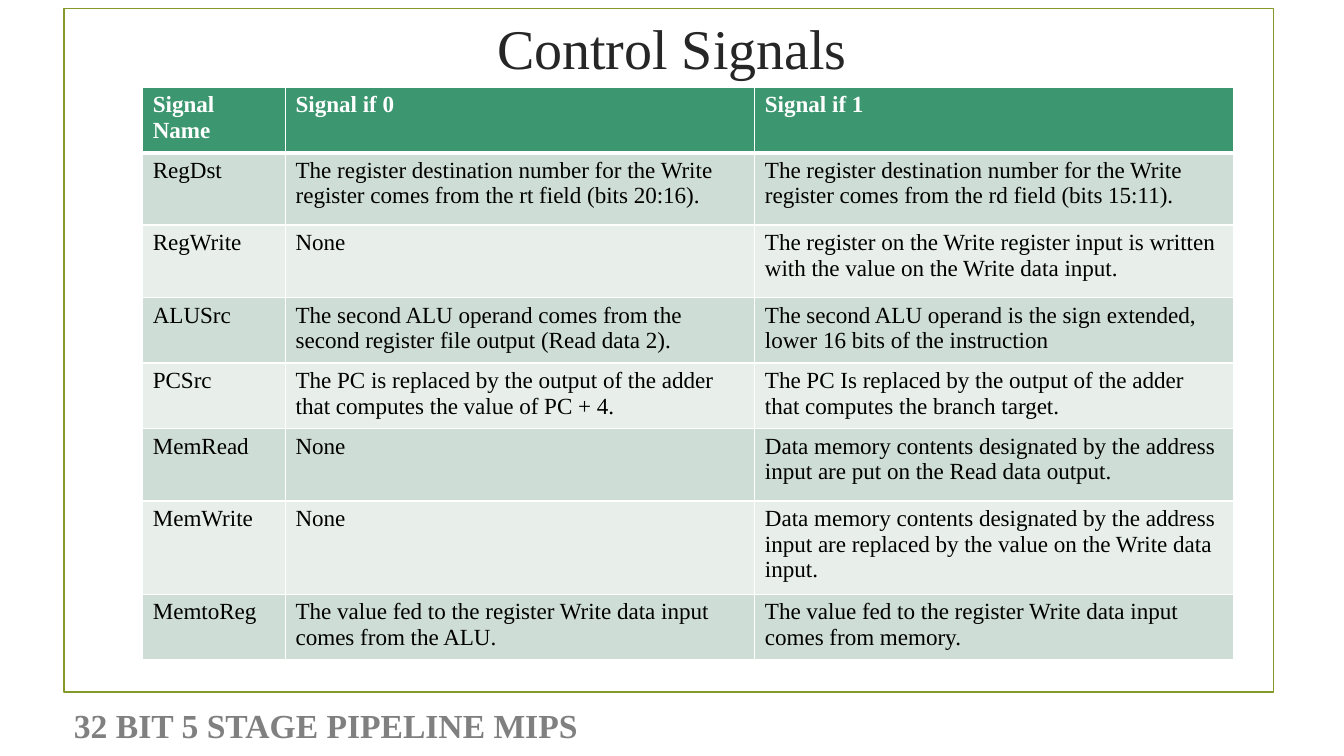
"""Build the Control Signals slide: a framed table of MIPS control signals."""
from lxml import etree
from pptx import Presentation, util as u
from pptx.dml.color import RGBColor
from pptx.enum import shapes, text
from pptx.oxml import parse_xml
from pptx.oxml.ns import nsdecls

PX = 9525
FONT = "Times New Roman"
COLORS = {
    "frame": "83992A", "footer": "808080", "title": "262626", "header": "3C9770",
    "odd": "CEDDD5", "even": "E8EFEB", "white": "FFFFFF", "black": "000000",
}
FORMATS = {
    "title": {"size": u.Pt(40), "bold": False},
    "footer": {"size": u.Pt(24), "bold": True},
    "header": {"size": u.Pt(16.5), "bold": True},
    "body": {"size": u.Pt(16.5), "bold": False},
}
COLUMNS = [136, 447, 456]
ROWS = [
    (60, "Signal Name", "Signal if 0", "Signal if 1"),
    (69, "RegDst",
     "The register destination number for the Write register comes from the rt field (bits 20:16).",
     "The register destination number for the Write register comes from the rd field (bits 15:11)."),
    (69, "RegWrite", "None",
     "The register on the Write register input is written with the value on the Write data input."),
    (60, "ALUSrc",
     "The second ALU operand comes from the second register file output (Read data 2).",
     "The second ALU operand is the sign extended, lower 16 bits of the instruction"),
    (60, "PCSrc",
     "The PC is replaced by the output of the adder that computes the value of PC + 4.",
     "The PC Is replaced by the output of the adder that computes the branch target."),
    (69, "MemRead", "None",
     "Data memory contents designated by the address input are put on the Read data output."),
    (86, "MemWrite", "None",
     "Data memory contents designated by the address input are replaced by the value on the Write data input."),
    (60, "MemtoReg",
     "The value fed to the register Write data input comes from the ALU.",
     "The value fed to the register Write data input comes from memory."),
]


def box(*lengths):
    return [n * PX for n in lengths]


def write(tf, words, style, color):
    p = tf.paragraphs[0]
    r = p.add_run()
    r.text = words
    for name, value in {"name": FONT, **FORMATS[style]}.items():
        setattr(r.font, name, value)
    r.font.color.rgb = RGBColor.from_string(COLORS[color])
    return p


prs = Presentation()
prs.slide_width, prs.slide_height = box(1280, 720)
s = prs.slides.add_slide(prs.slide_layouts[5])

frame = s.shapes.add_shape(shapes.MSO_SHAPE.RECTANGLE, *box(61, 8, 1152, 651))
frame.shadow.inherit = False
frame.fill.background()
frame.line.color.rgb = RGBColor.from_string(COLORS["frame"])
frame.line.width = u.Pt(1.25)

footer = s.shapes.add_textbox(*box(61, 667, 546, 48))
footer.text_frame.word_wrap = True
write(footer.text_frame, "32 BIT 5 STAGE PIPELINE MIPS", "footer", "footer")

title = s.shapes.title
title.left, title.top, title.width, title.height = box(136, 3, 1008, 102)
tf = title.text_frame
tf.vertical_anchor = text.MSO_ANCHOR.MIDDLE
tf.margin_bottom = 23 * PX
write(tf, "Control Signals", "title", "title").alignment = text.PP_ALIGN.CENTER

height = sum(row[0] for row in ROWS)
table = s.shapes.add_table(
    len(ROWS), len(COLUMNS), *box(136, 83, sum(COLUMNS), height)).table
for column, width in zip(table.columns, COLUMNS):
    column.width = width * PX

for i, (row_height, *words) in enumerate(ROWS):
    table.rows[i].height = row_height * PX
    if i == 0:
        fill, style, color = "header", "header", "white"
    else:
        fill, style, color = "odd" if i % 2 else "even", "body", "black"
    borders = {"L": 1, "R": 1, "T": 3 if i == 1 else 1, "B": 3 if i == 0 else 1}
    for j, value in enumerate(words):
        cell = table.cell(i, j)
        tcPr = cell._tc.get_or_add_tcPr()
        for side, points in borders.items():
            tcPr.append(parse_xml(
                f'<a:ln{side} {nsdecls("a")} w="{u.Pt(points)}"><a:solidFill>'
                f'<a:srgbClr val="{COLORS["white"]}"/></a:solidFill></a:ln{side}>'))
        cell.fill.solid()
        cell.fill.fore_color.rgb = RGBColor.from_string(COLORS[fill])
        write(cell.text_frame, value, style, color)

prs.save("out.pptx")
